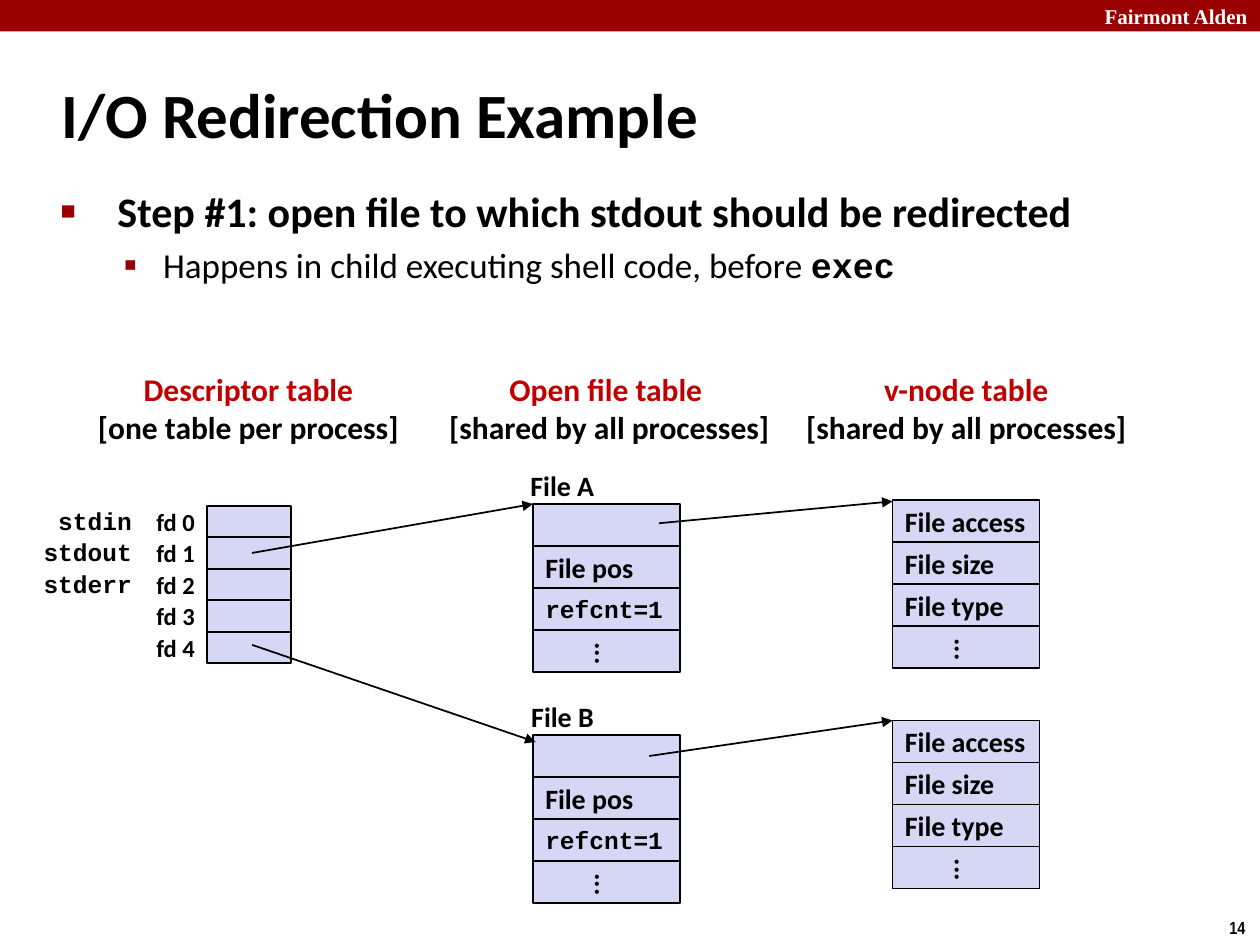
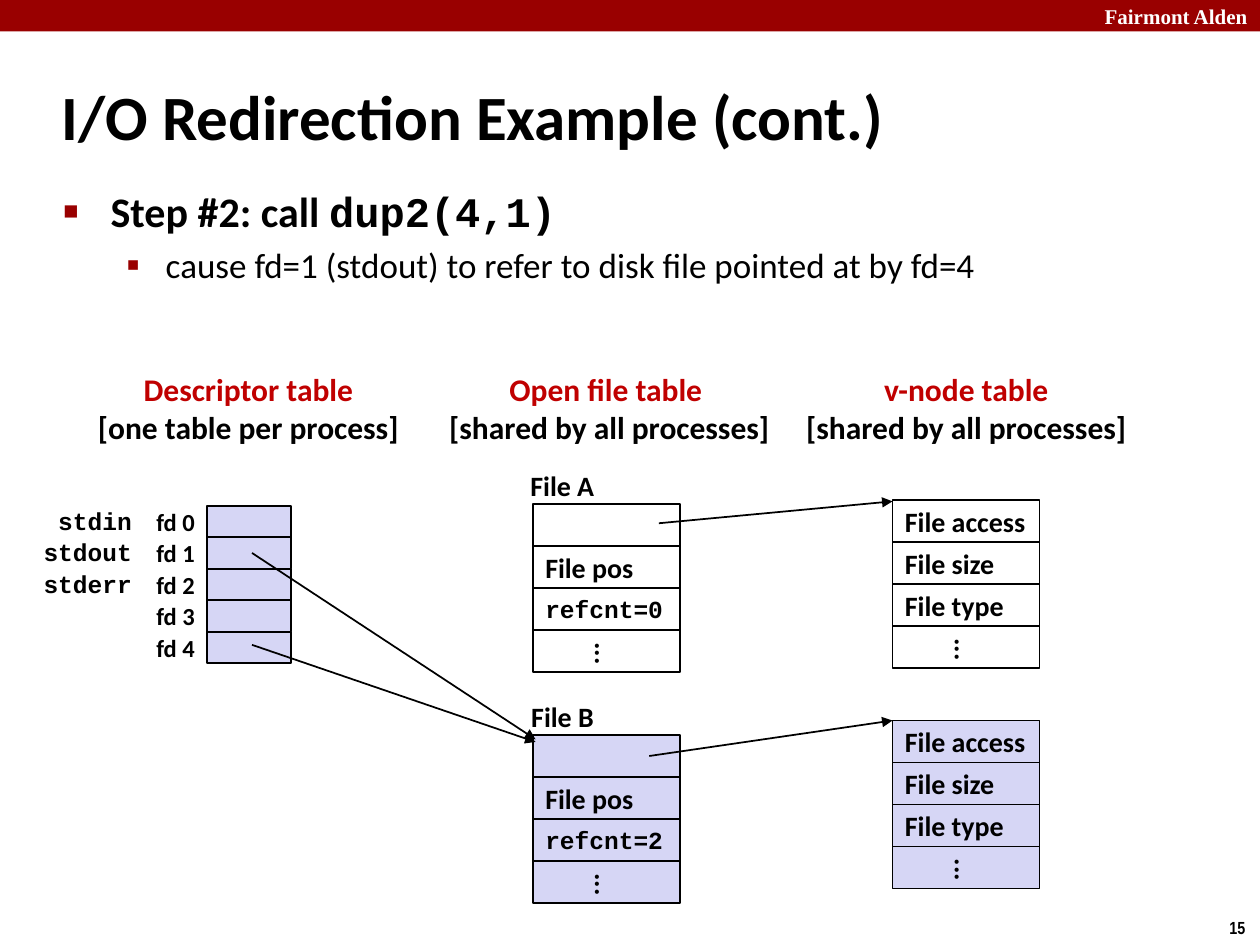
from dataclasses import dataclass

from lxml.etree import SubElement
from pptx import Presentation
from pptx.dml.color import RGBColor
from pptx.enum.shapes import MSO_CONNECTOR, MSO_SHAPE
from pptx.enum.text import MSO_ANCHOR, MSO_AUTO_SIZE, PP_ALIGN
from pptx.oxml.ns import qn
from pptx.util import Pt

BLACK, WHITE = "000000", "FFFFFF"
BAND_RED, HEADING_RED, LAVENDER = "990000", "C00000", "D6D6F5"
SANS, MONO, SERIF, NARROW = "Calibri", "Courier New", "Times New Roman", "Arial Narrow"
FD_TOP, FD_PITCH, ENTRY_HEIGHT = 289, 18, 24


@dataclass(frozen=True)
class Box:
    left: float
    top: float
    width: float
    height: float

    def lengths(self) -> tuple:
        return Pt(self.left), Pt(self.top), Pt(self.width), Pt(self.height)


@dataclass(frozen=True)
class Style:
    size: float
    font: str = SANS
    color: str = BLACK
    bold: bool = True


@dataclass(frozen=True)
class Bullet:
    level: int
    margin: float
    hanging: float
    symbol: str
    percent: int


@dataclass(frozen=True)
class Arrow:
    start: tuple[float, float]
    end: tuple[float, float]


@dataclass(frozen=True)
class OpenFile:
    name: str
    label: Box
    entry_top: float
    vnode_top: float
    refcnt: int
    fill: str
    to_vnode: Arrow


@dataclass(frozen=True)
class Step:
    number: int
    title: str
    title_box: Box
    body_box: Box
    main: list[tuple[str, Style]]
    detail: list[tuple[str, Style]]
    files: list[OpenFile]
    stdout_target: tuple[float, float]


ENTRY = Style(16)
CODE_ENTRY = Style(14, MONO)
FD_LABEL = Style(14)
MAIN = Style(24)
DETAIL = Style(20, bold=False)
MAIN_BULLET = Bullet(0, 27, 27, "■", 60)
DETAIL_BULLET = Bullet(1, 58.5, 22.5, "▪", 110)
HEADINGS = [
    ("Descriptor table", "[one table per process]", Box(48, 207.5, 188, 51)),
    ("Open file table ", "[shared by all processes]", Box(248.5, 207.5, 199.5, 51)),
    ("v-node table", "[shared by all processes]", Box(452.5, 207.5, 199.5, 51)),
]


def rgb(color: str) -> RGBColor:
    return RGBColor.from_string(color)


def format_run(run, style: Style) -> None:
    run.font.size = Pt(style.size)
    run.font.name = style.font
    run.font.bold = style.bold
    run.font.color.rgb = rgb(style.color)


def write(frame, text: str, styles: list[Style], align=PP_ALIGN.LEFT, anchor=MSO_ANCHOR.MIDDLE) -> None:
    frame.text = text
    frame.word_wrap = False
    frame.vertical_anchor = anchor
    for paragraph, style in zip(frame.paragraphs, styles):
        paragraph.alignment = align
        format_run(paragraph.runs[0], style)


def add_label(slide, box: Box, text: str, *styles: Style, **layout) -> None:
    write(slide.shapes.add_textbox(*box.lengths()).text_frame, text, list(styles), **layout)


def add_cell(slide, box: Box, fill: str, outline: str | None = BLACK):
    cell = slide.shapes.add_shape(MSO_SHAPE.RECTANGLE, *box.lengths())
    cell.shadow.inherit = False
    cell.fill.solid()
    cell.fill.fore_color.rgb = rgb(fill)
    if outline:
        cell.line.color.rgb = rgb(outline)
        cell.line.width = Pt(1)
    else:
        cell.line.fill.background()
    return cell


def add_entries(slide, left: float, top: float, entries: list[str], fill: str) -> None:
    for row, entry in enumerate(entries):
        cell = add_cell(slide, Box(left, top + row * ENTRY_HEIGHT, 84, ENTRY_HEIGHT), fill)
        if entry:
            style = CODE_ENTRY if entry.startswith("refcnt") else ENTRY
            write(cell.text_frame, entry, [style])
        if entry == "...":
            cell.text_frame._txBody.bodyPr.set("vert", "eaVert")


def add_arrow(slide, arrow: Arrow) -> None:
    ends = [Pt(value) for value in arrow.start + arrow.end]
    connector = slide.shapes.add_connector(MSO_CONNECTOR.STRAIGHT, *ends)
    connector.line.color.rgb = rgb(BLACK)
    connector.line.width = Pt(1)
    SubElement(connector.line._get_or_add_ln(), qn("a:tailEnd"), type="triangle")
    SubElement(connector._element.spPr, qn("a:effectLst"))


def set_indent(paragraph, margin: float, hanging: float):
    properties = paragraph._p.get_or_add_pPr()
    properties.set("marL", str(int(Pt(margin))))
    properties.set("indent", str(-int(Pt(hanging))))
    return properties


def place(placeholder, box: Box) -> None:
    placeholder.left, placeholder.top, placeholder.width, placeholder.height = box.lengths()
    placeholder.text_frame.auto_size = MSO_AUTO_SIZE.NONE


def add_point(paragraph, parts: list[tuple[str, Style]], bullet: Bullet) -> None:
    paragraph.level = bullet.level
    for text, style in parts:
        run = paragraph.add_run()
        run.text = text
        format_run(run, style)
    properties = set_indent(paragraph, bullet.margin, bullet.hanging)
    SubElement(SubElement(properties, qn("a:buClr")), qn("a:srgbClr"), val=BAND_RED)
    SubElement(properties, qn("a:buSzPct"), val=str(bullet.percent * 1000))
    SubElement(properties, qn("a:buChar"), char=bullet.symbol)


def add_frame(slide, number: int) -> None:
    add_cell(slide, Box(0, 0, 720, 18), BAND_RED, None)
    add_label(slide, Box(600, 0, 120, 18), "Fairmont Alden",
              Style(12, SERIF, WHITE), align=PP_ALIGN.RIGHT)
    add_label(slide, Box(695.5, 520.5, 24.5, 19.5), str(number),
              Style(10, NARROW), anchor=MSO_ANCHOR.TOP)


def add_text(slide, step: Step) -> None:
    title, body = slide.shapes.title, slide.placeholders[1]
    place(title, step.title_box)
    write(title.text_frame, step.title, [Style(36)])
    title.text_frame.word_wrap = True
    set_indent(title.text_frame.paragraphs[0], 9, 9)
    place(body, step.body_box)
    add_point(body.text_frame.paragraphs[0], step.main, MAIN_BULLET)
    add_point(body.text_frame.add_paragraph(), step.detail, DETAIL_BULLET)


def add_descriptors(slide) -> None:
    for fd in range(5):
        top = FD_TOP + fd * FD_PITCH
        add_cell(slide, Box(118.5, top, 48, FD_PITCH), LAVENDER)
        add_label(slide, Box(70.5, top, 48, FD_PITCH), f"fd {fd}", FD_LABEL, align=PP_ALIGN.RIGHT)
    for fd, stream in enumerate(["stdin", "stdout", "stderr"]):
        add_label(slide, Box(17.5, FD_TOP - 3.5 + fd * FD_PITCH, 65, 24), stream,
                  CODE_ENTRY, align=PP_ALIGN.RIGHT)


def add_step(deck, step: Step) -> None:
    slide = deck.slides.add_slide(deck.slide_layouts[1])
    add_frame(slide, step.number)
    add_text(slide, step)
    for name, scope, box in HEADINGS:
        add_label(slide, box, f"{name}\n{scope}", Style(18, color=HEADING_RED), Style(18),
                  align=PP_ALIGN.CENTER)
    add_descriptors(slide)
    for file in step.files:
        add_label(slide, file.label, file.name, ENTRY)
        add_entries(slide, 304.5, file.entry_top,
                    ["", "File pos", f"refcnt={file.refcnt}", "..."], file.fill)
        add_entries(slide, 510, file.vnode_top,
                    ["File access", "File size", "File type", "..."], file.fill)
        add_arrow(slide, file.to_vnode)
    add_arrow(slide, Arrow((144, 316), step.stdout_target))
    add_arrow(slide, Arrow((144, 368.5), (306, 424)))


def open_files(refcnt_a: int, refcnt_b: int, fill_a: str) -> list[OpenFile]:
    return [
        OpenFile("File A", Box(296, 264, 51, 26.5), 288, 285.75, refcnt_a, fill_a,
                 Arrow((376.5, 299), (510, 286.5))),
        OpenFile("File B", Box(296.5, 396, 50.5, 26.5), 420, 411.75, refcnt_b, LAVENDER,
                 Arrow((371, 432), (510, 411.75))),
    ]


STEPS = [
    Step(
        14, "I/O Redirection Example", Box(28, 34.5, 597.5, 60), Box(27.5, 102.5, 673, 78),
        [(" Step #1: open file to which stdout should be redirected", MAIN)],
        [("Happens in child executing shell code, before ", DETAIL), ("exec", Style(20, MONO))],
        open_files(1, 1, LAVENDER), (304.5, 288),
    ),
    Step(
        15, "I/O Redirection Example (cont.)", Box(28, 36, 597.5, 60), Box(29, 102.5, 679, 78),
        [("Step #2: call ", MAIN), ("dup2(4,1)", Style(24, MONO))],
        [("cause fd=1 (stdout) to refer to disk file pointed at by fd=4", DETAIL)],
        open_files(0, 2, WHITE), (306, 422.5),
    ),
]


def main() -> None:
    deck = Presentation()
    deck.slide_width, deck.slide_height = Pt(720), Pt(540)
    for step in STEPS:
        add_step(deck, step)
    deck.save("out.pptx")


if __name__ == "__main__":
    main()
